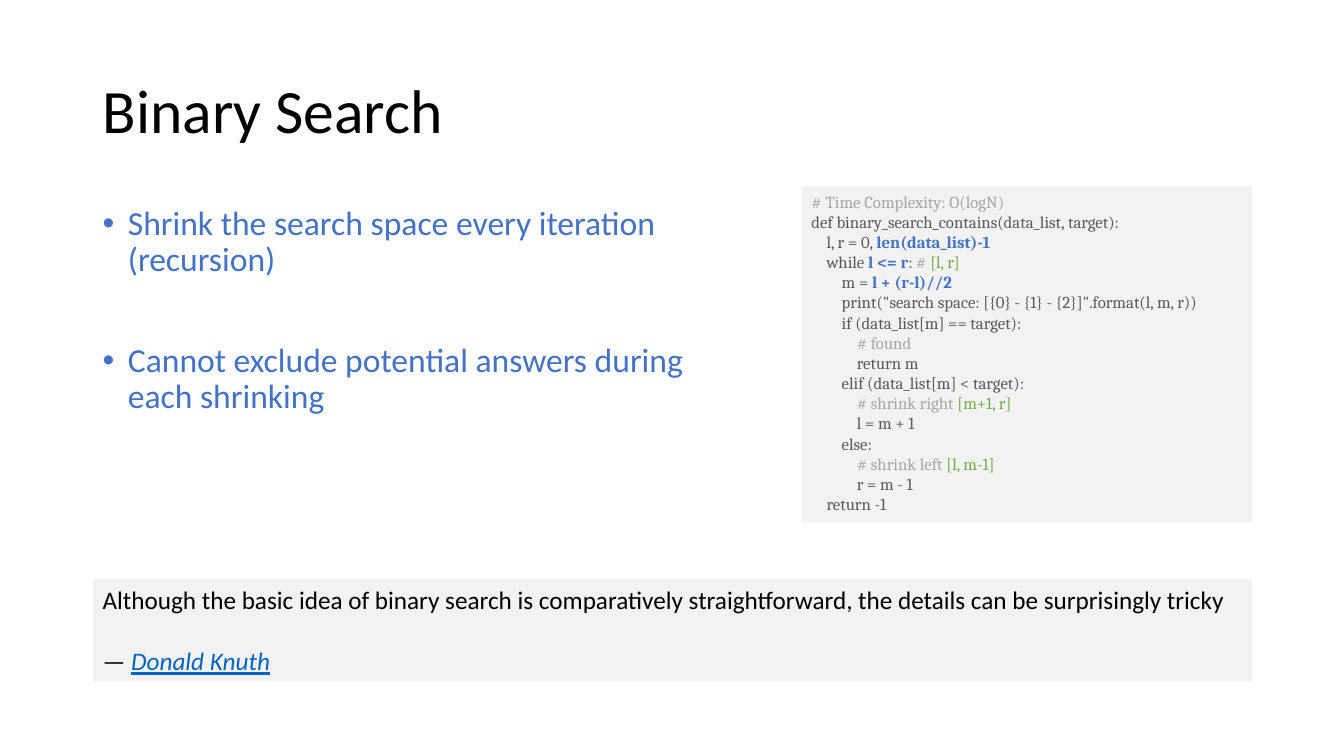
from dataclasses import dataclass

import pptx
import pptx.dml.color
import pptx.enum.shapes
import pptx.enum.text
import pptx.util
from lxml import etree
from pptx.oxml.ns import qn

RGBColor = pptx.dml.color.RGBColor
Inches = pptx.util.Inches
Pt = pptx.util.Pt
Anchor = pptx.enum.text.MSO_ANCHOR

BLACK = RGBColor(0x00, 0x00, 0x00)
BLUE = RGBColor(0x44, 0x72, 0xC4)
LINK_BLUE = RGBColor(0x05, 0x63, 0xC1)
GREEN = RGBColor(0x70, 0xAD, 0x47)
DARK_GRAY = RGBColor(0x59, 0x59, 0x59)
MID_GRAY = RGBColor(0xA6, 0xA6, 0xA6)
PANEL_GRAY = RGBColor(0xF2, 0xF2, 0xF2)

LEFT = 0.92
FULL_WIDTH = 11.5
CODE_INDENT = 0.15
BULLET_INDENT = 0.25


@dataclass(frozen=True)
class Span:
    text: str
    color: RGBColor = BLACK
    bold: bool = False
    italic: bool = False
    underline: bool = False


@dataclass(frozen=True)
class Line:
    spans: tuple[Span, ...]
    indent: float = 0
    space_before: float = 0
    line_spacing: float = 1.0
    bullet: bool = False


@dataclass(frozen=True)
class Block:
    left: float
    top: float
    width: float
    height: float
    font: str
    size: float
    lines: tuple[Line, ...]
    fill: RGBColor | None = None
    anchor: Anchor = Anchor.TOP


def code(level: int, *spans: Span) -> Line:
    return Line(spans, indent=level * CODE_INDENT)


def plain(text: str) -> Span:
    return Span(text, DARK_GRAY)


def remark(text: str) -> Span:
    return Span(text, MID_GRAY)


def interval(text: str) -> Span:
    return Span(text, GREEN)


def key(text: str) -> Span:
    return Span(text, BLUE, bold=True)


def bullet(text: str, space_before: float) -> Line:
    return Line((Span(text, BLUE),), BULLET_INDENT, space_before, 0.9, True)


def add_line(para, line: Line, font: str, size: float) -> None:
    para.alignment = pptx.enum.text.PP_ALIGN.LEFT
    para.line_spacing = line.line_spacing
    para.space_before = Pt(line.space_before)
    properties = para._p.get_or_add_pPr()
    properties.set("marL", str(Inches(line.indent)))
    properties.set("indent", str(Inches(-line.indent if line.bullet else 0)))
    if line.bullet:
        etree.SubElement(properties, qn("a:buFont")).set("typeface", "Arial")
        etree.SubElement(properties, qn("a:buChar")).set("char", "•")
    for span in line.spans:
        for number, part in enumerate(span.text.split("\n")):
            if number:
                para.add_line_break()
            run = para.add_run()
            run.text = part
            run.font.name = font
            run.font.size = Pt(size)
            run.font.color.rgb = span.color
            run.font.bold = span.bold
            run.font.italic = span.italic
            run.font.underline = span.underline


def add_block(page, block: Block) -> None:
    place = [Inches(n) for n in (block.left, block.top, block.width, block.height)]
    if block.fill is None:
        box = page.shapes.add_textbox(*place)
    else:
        box = page.shapes.add_shape(pptx.enum.shapes.MSO_SHAPE.RECTANGLE, *place)
        box.shadow.inherit = False
        box.fill.solid()
        box.fill.fore_color.rgb = block.fill
        box.line.fill.background()
    frame = box.text_frame
    frame.word_wrap = True
    frame.vertical_anchor = block.anchor
    for number, line in enumerate(block.lines):
        para = frame.add_paragraph() if number else frame.paragraphs[0]
        add_line(para, line, block.font, block.size)


TITLE = Block(LEFT, 0.4, FULL_WIDTH, 1.45, "Calibri", 44,
              (Line((Span("Binary Search"),), line_spacing=0.9),),
              anchor=Anchor.MIDDLE)

IDEAS = Block(LEFT, 2, 6.43, 2.8, "Calibri", 24, (
    bullet("Shrink the search space every iteration (recursion)", 10),
    bullet("Cannot exclude potential answers during \neach shrinking", 46),
))

QUOTE = Block(LEFT, 5.75, FULL_WIDTH, 1.01, "Calibri", 18, (
    Line((Span("Although the basic idea of binary search is comparatively "
               "straightforward, the details can be surprisingly tricky"),)),
    Line((Span("— "),
          Span("Donald Knuth", LINK_BLUE, italic=True, underline=True)),
         space_before=22),
), PANEL_GRAY)

LISTING = Block(7.95, 1.85, 4.47, 3.33, "Cambria", 12, (
    code(0, remark("# Time Complexity: O(logN)")),
    code(0, plain("def binary_search_contains(data_list, target):")),
    code(1, plain("l, r = 0, "), key("len(data_list)-1")),
    code(1, plain("while "), key("l <= r"), plain(": "), remark("# "),
         interval("[l, r]")),
    code(2, plain("m = "), key("l + (r-l)//2")),
    code(2, plain('print("search space: [{0} - {1} - {2}]".format(l, m, r))')),
    code(2, plain("if (data_list[m] == target):")),
    code(3, remark("# found")),
    code(3, plain("return m")),
    code(2, plain("elif (data_list[m] < target):")),
    code(3, remark("# shrink right "), interval("[m+1, r]")),
    code(3, plain("l = m + 1")),
    code(2, plain("else:")),
    code(3, remark("# shrink left "), interval("[l, m-1]")),
    code(3, plain("r = m - 1")),
    code(1, plain("return -1")),
), PANEL_GRAY)


def main() -> None:
    deck = pptx.Presentation()
    deck.slide_width = Inches(13.33)
    deck.slide_height = Inches(7.5)
    page = deck.slides.add_slide(deck.slide_layouts[6])
    for block in (TITLE, IDEAS, QUOTE, LISTING):
        add_block(page, block)
    deck.save("out.pptx")


if __name__ == "__main__":
    main()
